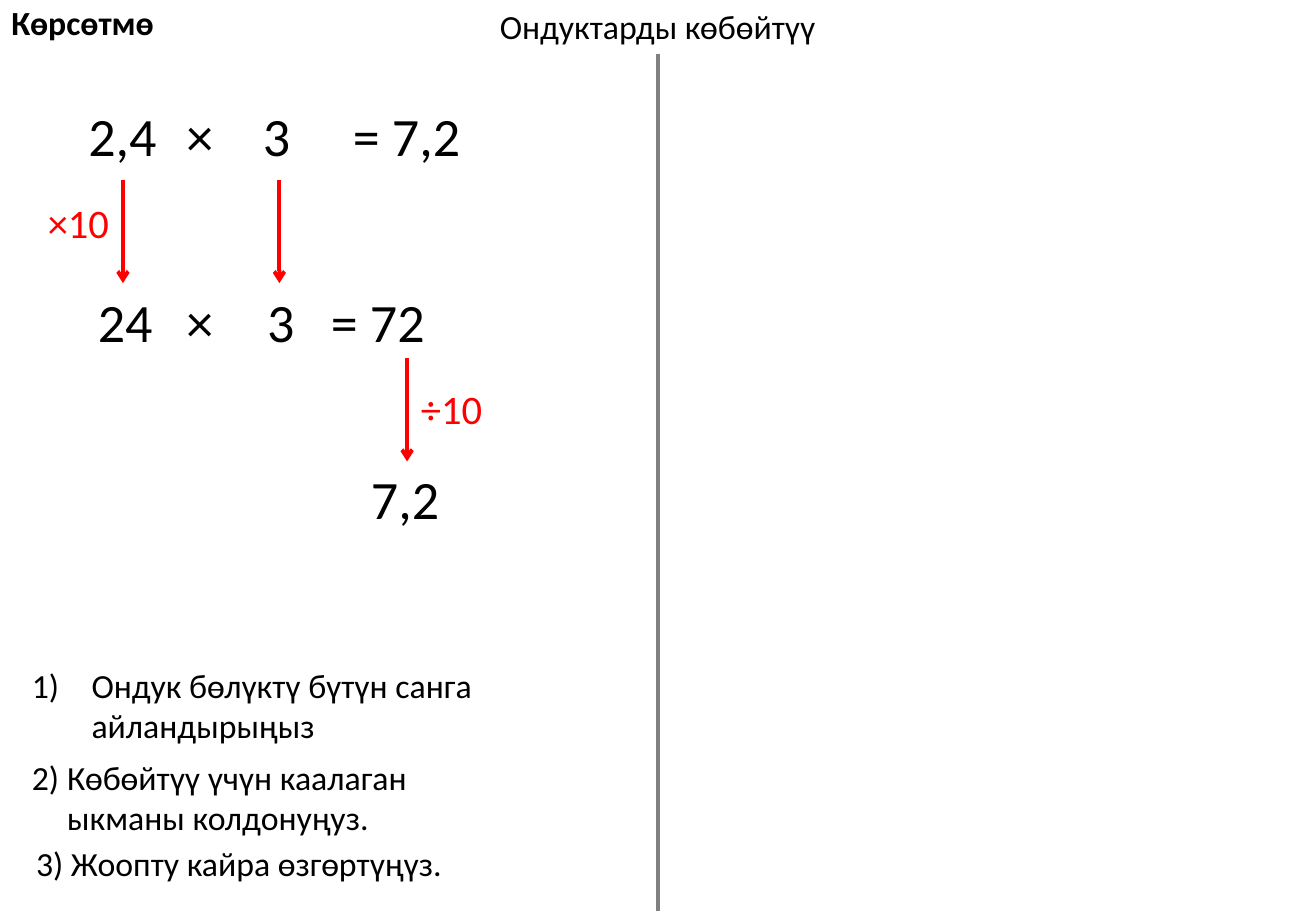
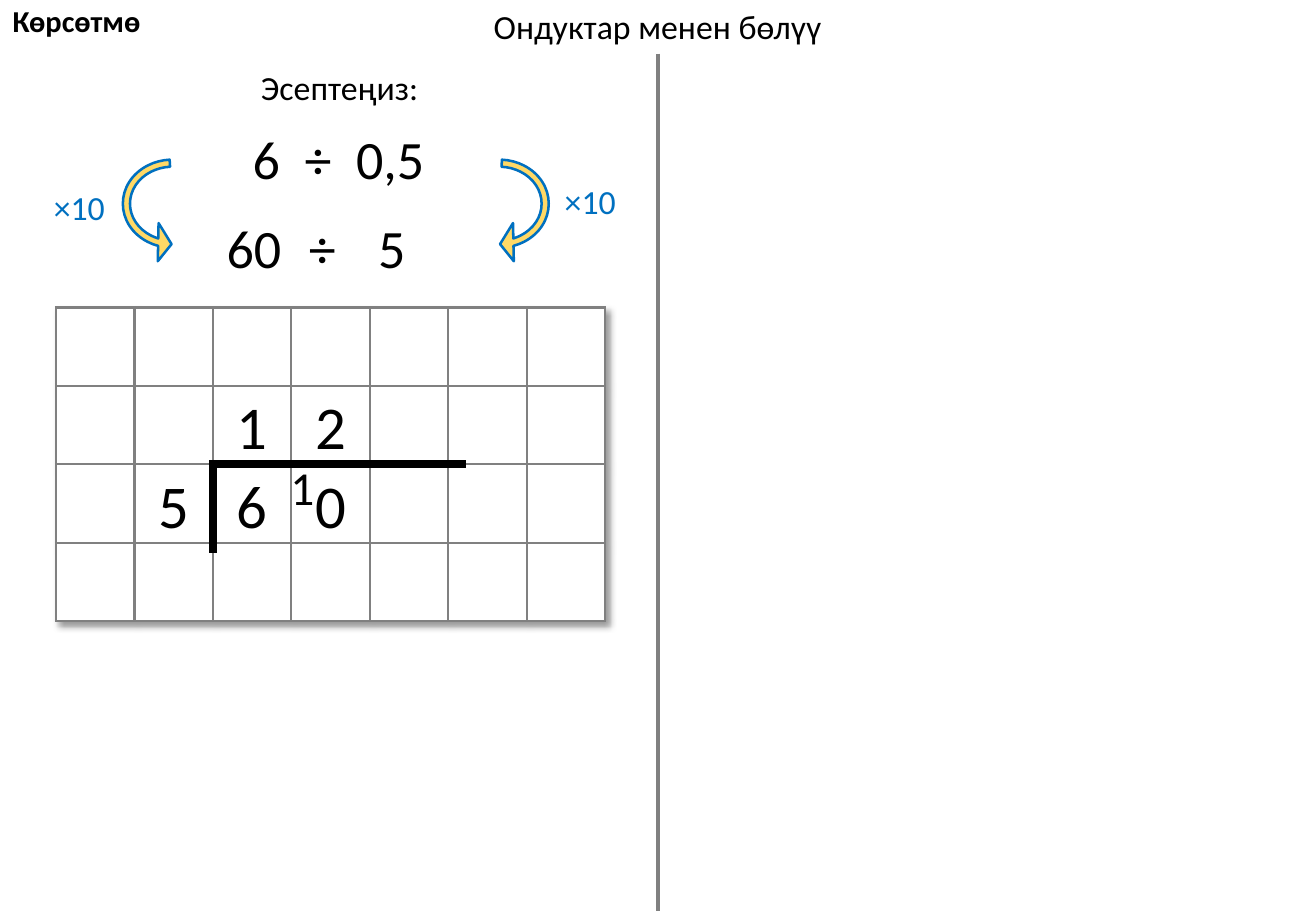
from lxml.etree import SubElement
from pptx import Presentation
from pptx.dml.color import RGBColor
from pptx.enum.shapes import MSO_CONNECTOR, MSO_SHAPE
from pptx.enum.text import MSO_ANCHOR, MSO_AUTO_SIZE, PP_ALIGN
from pptx.oxml import parse_xml
from pptx.oxml.ns import nsdecls, qn
from pptx.util import Cm, Pt

COLORS = {
    "black": "000000",
    "white": "FFFFFF",
    "gray": "808080",
    "red": "FF0000",
    "blue": "0070C0",
    "yellow": "FFD966",
}
FRAME = {
    "word_wrap": False,
    "auto_size": MSO_AUTO_SIZE.NONE,
    "vertical_anchor": MSO_ANCHOR.TOP,
}
MIDDLE = 13.75


def write(page, text, center, top, size, color="black", bold=False, width=1.2, box=None):
    box = box or page.shapes.add_textbox(0, 0, 0, 0)
    place = {
        "left": Cm(center - width / 2),
        "top": Cm(top),
        "width": Cm(width),
        "height": Cm(size * 0.043 + 0.25),
    }
    for name, value in place.items():
        setattr(box, name, value)
    for name, value in FRAME.items():
        setattr(box.text_frame, name, value)
    paragraph = box.text_frame.paragraphs[0]
    paragraph.alignment = PP_ALIGN.CENTER
    span = paragraph.add_run()
    span.text = text
    for name, value in {"name": "Calibri", "size": Pt(size), "bold": bold}.items():
        setattr(span.font, name, value)
    span.font.color.rgb = RGBColor.from_string(COLORS[color])
    return box


def draw_line(page, start, end, color, width, arrow=False):
    line = page.shapes.add_connector(
        MSO_CONNECTOR.STRAIGHT, *[Cm(value) for value in start + end]
    )
    line.line.color.rgb = RGBColor.from_string(COLORS[color])
    line.line.width = Pt(width)
    properties = line.element.spPr
    if arrow:
        SubElement(properties.find(qn("a:ln")), qn("a:tailEnd"), type="arrow")
    SubElement(properties, qn("a:effectLst"))


deck = Presentation()
deck.slide_width = Cm(27.51)
deck.slide_height = Cm(19.05)

pages = []
for layout, title, label_size, label_center in [
    (1, "Ондуктарды көбөйтүү", 20, 1.73),
    (5, "Ондуктар менен бөлүү", 18, 1.6),
]:
    page = deck.slides.add_slide(deck.slide_layouts[layout])
    write(page, title, MIDDLE, 0, 20, width=8, box=page.shapes.title)
    write(page, "Көрсөтмө", label_center, -0.08, label_size, bold=True, width=3.4)
    draw_line(page, (MIDDLE, 1.12), (MIDDLE, 19.05), "gray", 2.25)
    pages.append(page)
multiplying, dividing = pages

for top, symbols in [
    (2.03, [("2,4", 2.56), ("×", 4.18), ("3", 5.78), ("= 7,2", 8.5)]),
    (5.9, [("24", 2.62), ("×", 4.18), ("3", 5.87), ("= 72", 7.9)]),
    (9.6, [("7,2", 8.47)]),
]:
    for text, center in symbols:
        write(multiplying, text, center, top, 32, width=2.6)

for center, top in [(2.57, 3.76), (5.84, 3.76), (8.51, 7.49)]:
    draw_line(multiplying, (center, top), (center, top + 2.16), "red", 2.25, arrow=True)
for text, center, top in [("×10", 1.64, 4.01), ("÷10", 9.44, 7.9)]:
    write(multiplying, text, center, top, 24, "red", width=1.8)

steps = multiplying.placeholders[1]
for name, value in {"left": 0.41, "top": 13.77, "width": 10, "height": 4.8}.items():
    setattr(steps, name, Cm(value))
for name, value in {**FRAME, "word_wrap": True}.items():
    setattr(steps.text_frame, name, value)
for number, (text, margin, hanging, gap) in enumerate([
    ("Ондук бөлүктү бүтүн санга айландырыңыз", 1.25, 1.25, 0),
    ("Көбөйтүү үчүн каалаган ыкманы колдонуңуз.", 0.74, 0.74, 6.5),
    ("Жоопту кайра өзгөртүңүз.", 0.82, 0.73, 3),
], start=1):
    frame = steps.text_frame
    paragraph = frame.paragraphs[0] if number == 1 else frame.add_paragraph()
    paragraph.space_before = Pt(gap)
    properties = paragraph._p.get_or_add_pPr()
    properties.set("marL", str(int(Cm(margin))))
    properties.set("indent", str(-int(Cm(hanging))))
    SubElement(properties, qn("a:buFont"), typeface="+mj-lt")
    SubElement(properties, qn("a:buAutoNum"), type="arabicParenR", startAt=str(number))
    span = paragraph.add_run()
    span.text = text
    for name, value in {"name": "Calibri", "size": Pt(20)}.items():
        setattr(span.font, name, value)
    span.font.color.rgb = RGBColor.from_string(COLORS["black"])

write(dividing, "Эсептеңиз:", 7.1, 1.27, 20, width=3.84)
for top, symbols in [
    (2.51, [("6", 5.57), ("÷", 6.65), ("0,5", 8.16)]),
    (4.37, [("60", 5.31), ("÷", 6.74), ("5", 8.19)]),
]:
    for text, center in symbols:
        write(dividing, text, center, top, 32, width=2)

for left, flipped, center, top in [(9.19, False, 12.34, 3.66), (2.36, True, 1.66, 3.78)]:
    arrow = dividing.shapes.add_shape(
        MSO_SHAPE.CIRCULAR_ARROW, Cm(left), Cm(2.9), Cm(2.49), Cm(2.72)
    )
    arrow.rotation = 90
    if flipped:
        arrow.element.spPr.find(qn("a:xfrm")).set("flipV", "1")
    for index, value in enumerate([0.06, 11.42, 203.85, 110.16, 0.16]):
        arrow.adjustments[index] = value
    arrow.shadow.inherit = False
    arrow.fill.solid()
    arrow.fill.fore_color.rgb = RGBColor.from_string(COLORS["yellow"])
    arrow.line.color.rgb = RGBColor.from_string(COLORS["blue"])
    arrow.line.width = Pt(1.5)
    write(dividing, "×10", center, top, 20, "blue", width=1.6)

CELL, GRID_LEFT, GRID_TOP = 1.64, 1.17, 6.43
ROWS, COLUMNS = 4, 7
grid = dividing.shapes.add_table(
    ROWS, COLUMNS, Cm(GRID_LEFT), Cm(GRID_TOP), Cm(CELL * COLUMNS), Cm(CELL * ROWS)
).table
grid.first_row = False
grid.horz_banding = False
for column in grid.columns:
    column.width = Cm(CELL)
for row in grid.rows:
    row.height = Cm(CELL)
for cell in grid.iter_cells():
    properties = cell._tc.get_or_add_tcPr()
    for side in ("lnL", "lnR", "lnT", "lnB"):
        border = SubElement(properties, qn(f"a:{side}"), w=str(int(Pt(1.5))))
        fill = SubElement(border, qn("a:solidFill"))
        SubElement(fill, qn("a:srgbClr"), val=COLORS["gray"])
    cell.fill.solid()
    cell.fill.fore_color.rgb = RGBColor.from_string(COLORS["white"])
grid._tbl.tblPr.insert(0, parse_xml(
    f'<a:effectLst {nsdecls("a")}>'
    '<a:outerShdw blurRad="50800" dist="38100" dir="2700000" algn="tl" rotWithShape="0">'
    f'<a:srgbClr val="{COLORS["black"]}"><a:alpha val="40000"/></a:srgbClr>'
    "</a:outerShdw></a:effectLst>"
))

draw_line(dividing, (4.37, 9.7), (9.75, 9.7), "black", 4.5)
draw_line(dividing, (4.45, 9.68), (4.45, 11.56), "black", 4.5)
for digit, row, column in [("1", 1, 2), ("2", 1, 3), ("5", 2, 1), ("6", 2, 2), ("0", 2, 3)]:
    center = GRID_LEFT + CELL * (column + 0.5)
    write(dividing, digit, center, GRID_TOP + CELL * row - 0.06, 36)
write(dividing, "1", 6.32, 9.45, 28)

deck.save("out.pptx")
